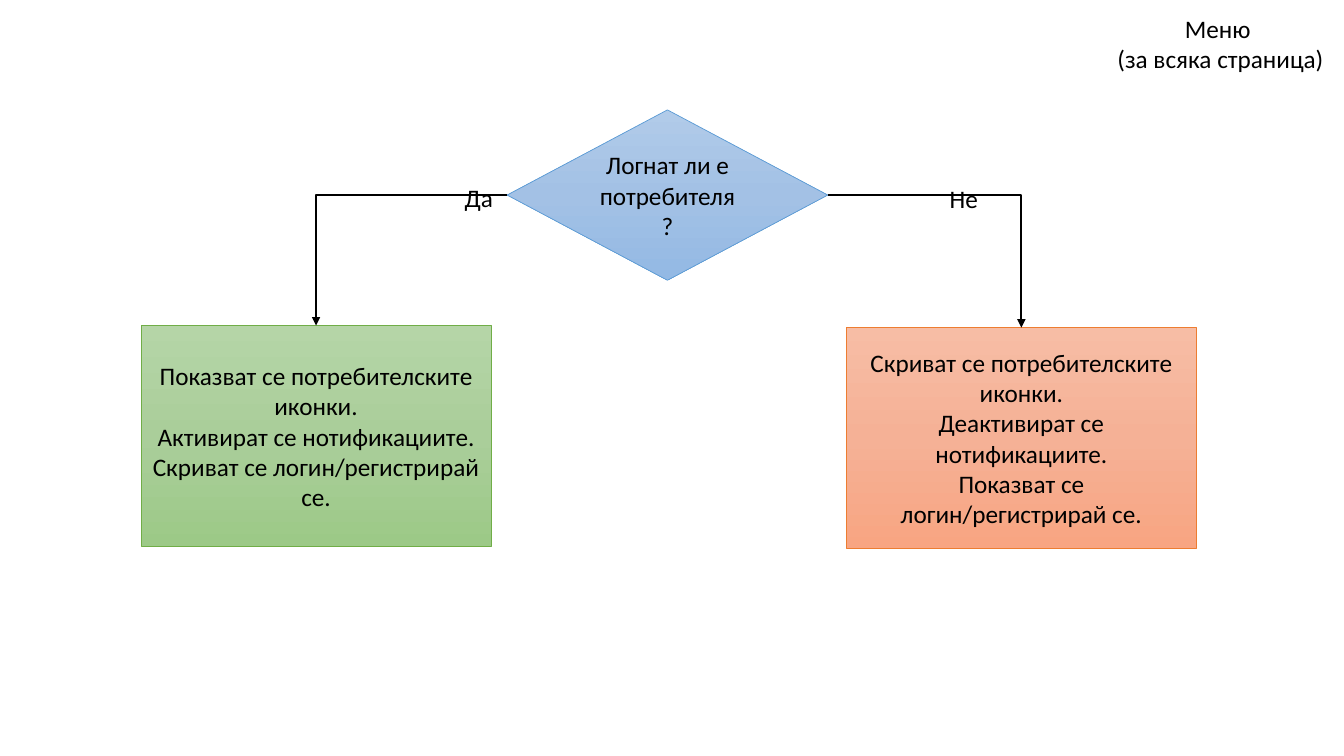
"""Build a flowchart slide showing the menu for logged-in and anonymous users."""
from copy import deepcopy

from lxml.etree import SubElement
from pptx import Presentation
from pptx.dml.color import RGBColor as RGB
from pptx.enum.shapes import MSO_CONNECTOR as CONNECTOR, MSO_SHAPE as SHAPE
from pptx.enum.text import MSO_ANCHOR as ANCHOR, MSO_AUTO_SIZE as AUTO, PP_ALIGN as ALIGN
from pptx.oxml.ns import qn
from pptx.util import Inches, Pt

COLORS = {
    "text": "000000",
    "blue": ("B1CBE9", "A3C1E5", "93B9E4"), "blue line": "5B9BD5",
    "green": ("B5D5A7", "AACE9A", "9CC987"), "green line": "70AD47",
    "orange": ("F7BDA5", "F5B196", "F8A582"), "orange line": "ED7D31",
}
TITLE = "Меню \n(за всяка страница)"
TITLE_BOX = (10.97, 0.08, 2.27, 0.71)
QUESTION = ("Логнат ли е потребителя?", SHAPE.DIAMOND, "blue", (5.03, 1.09, 3.18, 1.69))
LEFT_SITE, RIGHT_SITE, TOP_SITE = 1, 3, 0
BRANCHES = [
    ("Да", (4.51, 1.76, 0.57, 0.4), LEFT_SITE,
     ("Показват се потребителските иконки.\vАктивират се нотификациите.\v"
      "Скриват се логин/регистрирай се.", SHAPE.RECTANGLE, "green", (1.4, 3.23, 3.47, 2.19))),
    ("Не", (9.32, 1.77, 0.57, 0.4), RIGHT_SITE,
     ("Скриват се потребителските иконки.\vДеактивират се нотификациите.\v"
      "Показват се логин/регистрирай се.", SHAPE.RECTANGLE, "orange", (8.39, 3.25, 3.48, 2.19))),
]


def write(sp, text, align, anchor, wrap=True):
    tf = sp.text_frame
    tf.text = text
    tf.word_wrap = wrap
    tf.auto_size = AUTO.NONE
    tf.vertical_anchor = anchor
    for p in tf.paragraphs:
        p.alignment = align
        p.line_spacing = 1.0
        for r in p.runs:
            r.font.size = Pt(18)
            r.font.name = "Calibri"
            r.font.color.rgb = RGB.from_string(COLORS["text"])


def add_step(s, text, kind, color, box):
    sp = s.shapes.add_shape(kind, *map(Inches, box))
    sp.shadow.inherit = False
    sp.fill.gradient()
    sp.fill.gradient_angle = 270
    stops = sp._element.spPr.find(".//" + qn("a:gsLst"))
    stops.insert(1, deepcopy(stops[0]))
    for stop, position, shade in zip(sp.fill.gradient_stops, (0, 0.5, 1), COLORS[color]):
        stop.position = position
        stop.color.rgb = RGB.from_string(shade)
    sp.line.color.rgb = RGB.from_string(COLORS[color + " line"])
    sp.line.width = Pt(0.5)
    write(sp, text, ALIGN.CENTER, ANCHOR.MIDDLE)
    return sp


def add_arrow(s, start, start_site, end):
    arrow = s.shapes.add_connector(CONNECTOR.ELBOW, 0, 0, 0, 0)
    arrow.begin_connect(start, start_site)
    arrow.end_connect(end, TOP_SITE)
    arrow.line.color.rgb = RGB.from_string(COLORS["text"])
    arrow.line.width = Pt(1.5)
    spPr = arrow._element.spPr
    spPr.find(qn("a:prstGeom")).set("prst", "bentConnector2")
    SubElement(spPr.find(qn("a:ln")), qn("a:tailEnd"), type="triangle")
    SubElement(spPr, qn("a:effectLst"))


prs = Presentation()
prs.slide_width, prs.slide_height = Inches(13.33), Inches(7.5)
s = prs.slides.add_slide(prs.slide_layouts[5])

title = s.shapes.title
title.left, title.top, title.width, title.height = map(Inches, TITLE_BOX)
write(title, TITLE, ALIGN.CENTER, ANCHOR.TOP, wrap=False)

question = add_step(s, *QUESTION)
for answer, label_box, site, step in BRANCHES:
    result = add_step(s, *step)
    add_arrow(s, question, site, result)
    label = s.shapes.add_textbox(*map(Inches, label_box))
    write(label, answer, ALIGN.LEFT, ANCHOR.TOP)

prs.save("out.pptx")
